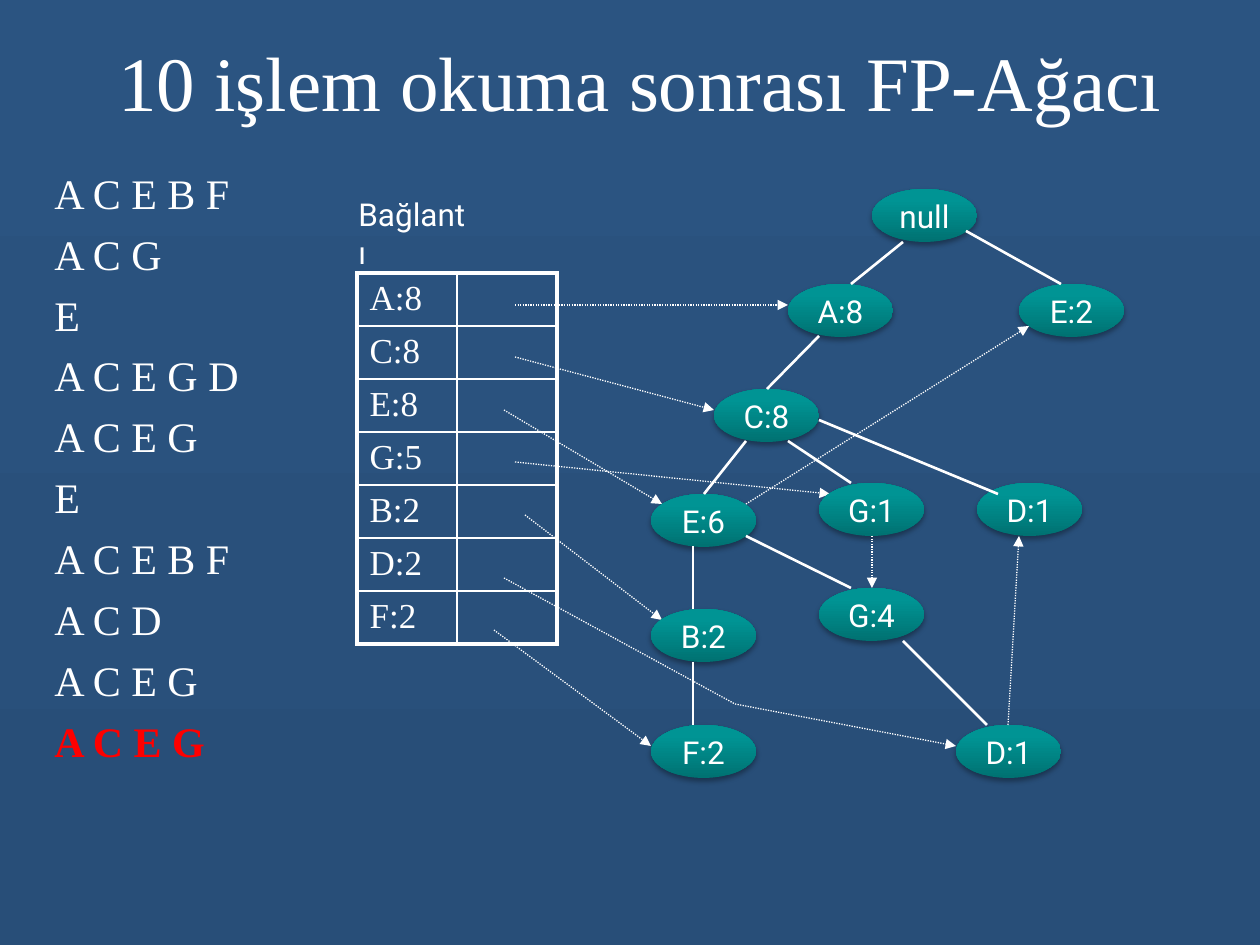
from lxml import etree
from pptx import Presentation
from pptx import util as u
from pptx.dml import color
from pptx.enum import dml, shapes, text
from pptx.oxml import ns, parse_xml

WHITE = "FFFFFF"
SERIF, SANS = "Times New Roman", "Roboto"
NODE_SIZE = (105, 53)

TRANSACTIONS = ["A C E B F", "A C G", "E", "A C E G D", "A C E G",
                "E", "A C E B F", "A C D", "A C E G", "A C E G"]
HEADER_ITEMS = ["A:8", "C:8", "E:8", "G:5", "B:2", "D:2", "F:2"]
HEADER_LINKS = [
    (158, 32, 431, 32), (158, 84, 357, 137), (147, 137, 305, 231),
    (158, 189, 473, 221), (168, 242, 305, 347), (378, 431, 599, 473),
    (137, 357, 294, 473),
]
BENT_LINK_START = (147, 305, 378, 431)
NODES = [
    ("null", 221, 0), ("A:8", 137, 95), ("E:2", 368, 95), ("C:8", 63, 200),
    ("G:1", 168, 294), ("D:1", 326, 294), ("E:6", 0, 305), ("G:4", 168, 399),
    ("B:2", 0, 420), ("F:2", 0, 536), ("D:1", 305, 536),
]
BRANCHES = [
    (252, 53, 200, 95), (315, 42, 410, 95), (168, 147, 116, 200),
    (95, 252, 53, 305), (137, 252, 200, 294), (168, 231, 347, 305),
    (42, 357, 42, 420), (42, 473, 42, 536), (95, 347, 200, 399),
    (252, 452, 336, 536),
]
NODE_LINKS = [(95, 315, 378, 137), (221, 347, 221, 399), (357, 536, 368, 347)]


def px(length):
    """Turn pixels into EMU."""
    return u.Emu(round(length * 914400 / 126))


def rgb(value):
    """Turn a hex string into a colour."""
    return color.RGBColor.from_string(value)


def style(paragraph, name, size, hex_color=WHITE, bold=False):
    """Set the font of a paragraph."""
    font = paragraph.font
    font.name, font.size, font.bold = name, u.Pt(size), bold
    font.color.rgb = rgb(hex_color)


def set_gradient(fill, stops, angle):
    """Apply a two-stop linear gradient."""
    fill.gradient()
    fill.gradient_angle = angle
    for stop, (position, hex_color) in zip(fill.gradient_stops, stops):
        stop.position = position
        stop.color.rgb = rgb(hex_color)


def add_text_box(slide, box):
    """Add a wrapping text box and return its text frame."""
    frame = slide.shapes.add_textbox(*map(px, box)).text_frame
    frame.word_wrap = True
    return frame


def add_line(slide, origin, ends, width, dotted=False, arrow=False):
    """Draw a straight line between two points relative to an origin."""
    left, top = origin
    x1, y1, x2, y2 = ends
    line = slide.shapes.add_connector(
        shapes.MSO_CONNECTOR.STRAIGHT,
        px(left + x1), px(top + y1), px(left + x2), px(top + y2))
    line.line.color.rgb = rgb(WHITE)
    line.line.width = u.Pt(width)
    if dotted:
        line.line.dash_style = dml.MSO_LINE.ROUND_DOT
    if arrow:
        outline = line.line._get_or_add_ln()
        etree.SubElement(outline, ns.qn("a:tailEnd"), type="triangle")
    etree.SubElement(line._element.spPr, ns.qn("a:effectLst"))


def add_title(slide, box):
    """Place the slide title."""
    frame = add_text_box(slide, box)
    frame.vertical_anchor = text.MSO_ANCHOR.MIDDLE
    paragraph = frame.paragraphs[0]
    paragraph.text = "10 işlem okuma sonrası FP-Ağacı"
    paragraph.alignment = text.PP_ALIGN.CENTER
    style(paragraph, SERIF, 44)


def add_transactions(slide, box):
    """List the transactions, with the latest one highlighted."""
    frame = add_text_box(slide, box)
    last = len(TRANSACTIONS) - 1
    for index, items in enumerate(TRANSACTIONS):
        paragraph = frame.add_paragraph() if index else frame.paragraphs[0]
        paragraph.text = items
        if index:
            paragraph.space_before = u.Pt(6)
        style(paragraph, SERIF, 24, "FF0000" if index == last else WHITE,
              index == last)


def add_label(slide, box):
    """Place the caption above the header table."""
    paragraph = add_text_box(slide, box).paragraphs[0]
    paragraph.text = "Bağlantı"
    style(paragraph, SANS, 18)


def set_borders(cell, widths):
    """Draw white borders of the given point widths around a cell."""
    properties = cell._tc.get_or_add_tcPr()
    for index, (side, width) in enumerate(widths.items()):
        properties.insert(index, parse_xml(
            f'<a:ln{side} {ns.nsdecls("a")} w="{u.Pt(width)}"><a:solidFill>'
            f'<a:srgbClr val="{WHITE}"/></a:solidFill></a:ln{side}>'))


def add_header_table(slide, box):
    """Build the item table and the links that leave it."""
    left, top, width, height = box
    row_count = len(HEADER_ITEMS)
    table = slide.shapes.add_table(row_count, 2, *map(px, box)).table
    table.first_row = table.horz_banding = False
    for column in table.columns:
        column.width = px(width / 2)
    for row_index, item in enumerate(HEADER_ITEMS):
        table.rows[row_index].height = px(height / row_count)
        for column_index, content in enumerate((item, "")):
            cell = table.cell(row_index, column_index)
            cell.fill.background()
            cell.margin_top, cell.margin_bottom = px(6), px(5)
            paragraph = cell.text_frame.paragraphs[0]
            paragraph.text = content
            style(paragraph, SERIF, 20)
            outer = {"L": column_index == 0, "R": column_index == 1,
                     "T": row_index == 0, "B": row_index == row_count - 1}
            set_borders(cell, {side: 2.25 if edge else 1
                               for side, edge in outer.items()})
    add_line(slide, (left, top), BENT_LINK_START, 0.75, dotted=True)
    for ends in HEADER_LINKS:
        add_line(slide, (left, top), ends, 0.75, dotted=True, arrow=True)


def add_node(slide, box, label):
    """Draw one tree node."""
    node = slide.shapes.add_shape(shapes.MSO_SHAPE.OVAL, *map(px, box))
    set_gradient(node.fill, [(0, "007272"), (0.8, "009494")], 90)
    node.line.fill.background()
    node.shadow.inherit = False
    effects = node._element.spPr.find(ns.qn("a:effectLst"))
    effects.append(parse_xml(
        f'<a:outerShdw {ns.nsdecls("a")} blurRad="{u.Pt(3.1)}" '
        f'dist="{u.Pt(1.8)}" dir="5400000" rotWithShape="0">'
        '<a:srgbClr val="000000"><a:alpha val="35000"/></a:srgbClr>'
        '</a:outerShdw>'))
    frame = node.text_frame
    frame.word_wrap = False
    frame.vertical_anchor = text.MSO_ANCHOR.MIDDLE
    paragraph = frame.paragraphs[0]
    paragraph.text = label
    paragraph.alignment = text.PP_ALIGN.CENTER
    style(paragraph, SANS, 18)


def add_tree(slide, origin):
    """Draw the tree nodes, branches and node links."""
    left, top = origin
    for label, x, y in NODES:
        add_node(slide, (left + x, top + y, *NODE_SIZE), label)
    for ends in BRANCHES:
        add_line(slide, origin, ends, 1.5)
    for ends in NODE_LINKS:
        add_line(slide, origin, ends, 0.75, dotted=True, arrow=True)


def main():
    """Build and save the presentation."""
    presentation = Presentation()
    presentation.slide_width, presentation.slide_height = px(1260), px(945)
    slide = presentation.slides.add_slide(presentation.slide_layouts[6])
    set_gradient(slide.background.fill, [(0, "2B5481"), (1, "284E78")], 270)
    add_transactions(slide, (42, 161, 273, 640))
    add_label(slide, (346, 189, 139, 50))
    add_header_table(slide, (357, 273, 200, 361))
    add_tree(slide, (651, 189))
    add_title(slide, (21, 32, 1239, 98))
    presentation.save("out.pptx")


if __name__ == "__main__":
    main()
